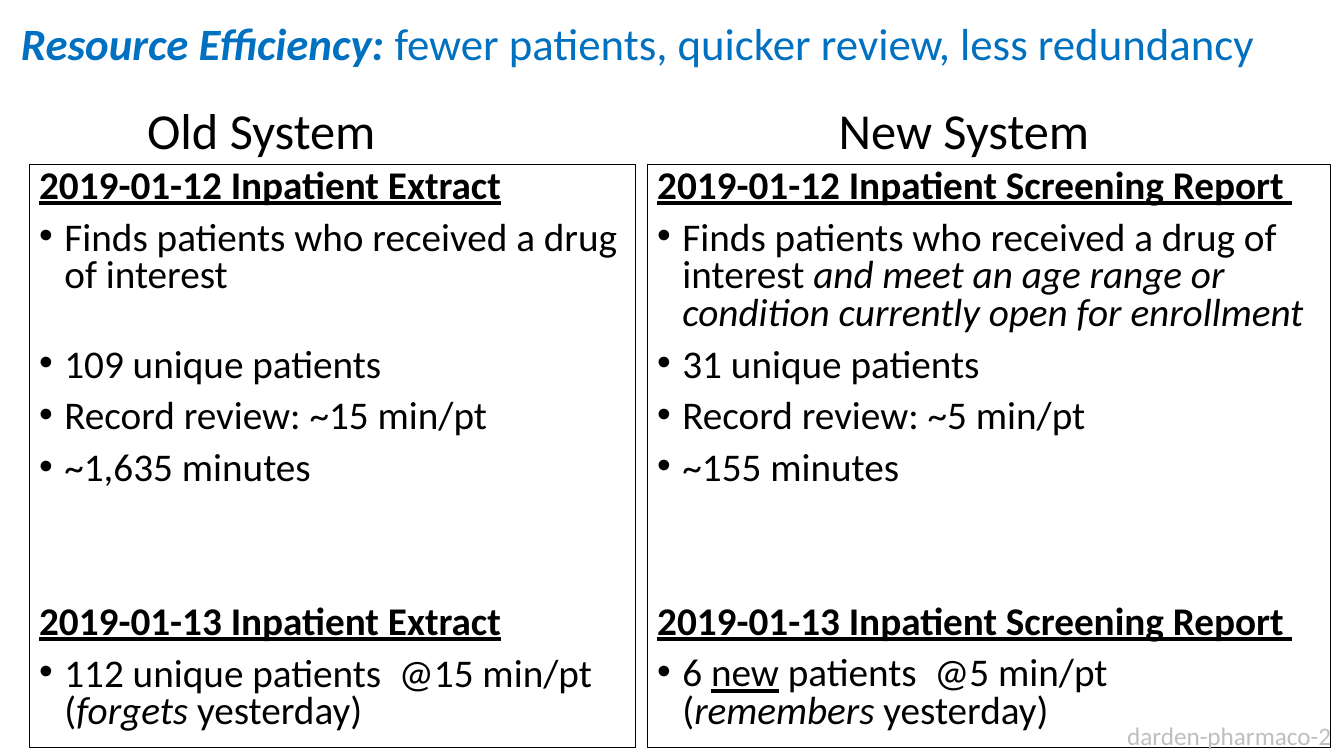
"""Builds a slide comparing an old and a new patient screening system."""
import pptx
import pptx.util
import pptx.dml.color
import pptx.enum.shapes
import pptx.enum.text
import pptx.oxml
import pptx.oxml.ns

Inches, Pt = pptx.util.Inches, pptx.util.Pt
RGBColor = pptx.dml.color.RGBColor
MSO_ANCHOR = pptx.enum.text.MSO_ANCHOR
BLUE = RGBColor(0x00, 0x70, 0xC0)
BLACK = RGBColor(0x00, 0x00, 0x00)
GRAY = RGBColor(0xBF, 0xBF, 0xBF)
LINE_BREAK = ("\n", "")


def add_runs(p, runs, size, color):
    """Add (text, style) runs; style letters are b, i and u."""
    for text, style in runs:
        if text == "\n":
            p.add_line_break()
            continue
        r = p.add_run()
        r.text = text
        r.font.name = "Calibri"
        r.font.size = Pt(size)
        r.font.color.rgb = color
        r.font.bold = "b" in style
        r.font.italic = "i" in style
        r.font.underline = "u" in style


def add_bullet(p):
    """Give a paragraph a hanging round bullet."""
    pPr = p._p.get_or_add_pPr()
    pPr.set("marL", str(Inches(0.25)))
    pPr.set("indent", str(-Inches(0.25)))
    ns = pptx.oxml.ns.nsdecls("a")
    pPr.append(pptx.oxml.parse_xml(f'<a:buFont {ns} typeface="Arial"/>'))
    pPr.append(pptx.oxml.parse_xml(f'<a:buChar {ns} char="•"/>'))


prs = pptx.Presentation()
prs.slide_width, prs.slide_height = Inches(13.33), Inches(7.5)
s = prs.slides.add_slide(prs.slide_layouts[6])

title = s.shapes.add_textbox(Inches(0.11), Inches(0.1), Inches(12.83), Inches(0.72))
tf = title.text_frame
tf.word_wrap = True
tf.vertical_anchor = MSO_ANCHOR.MIDDLE
tf.paragraphs[0].line_spacing = 0.9
add_runs(tf.paragraphs[0], [
    ("Resource Efficiency: ", "bi"),
    ("fewer patients, quicker review, less redundancy", ""),
], 32, BLUE)

# Each paragraph: space before in points, bulleted, runs
old_system = [
    (0, False, [("2019-01-12 Inpatient Extract", "bu")]),
    (10, True, [("Finds patients who received a drug of interest", "")]),
    (37, True, [("109 unique patients", "")]),
    (10, True, [("Record review: ~15 min/pt", "")]),
    (10, True, [("~1,635 minutes", "")]),
    (83, False, [("2019-01-13 Inpatient Extract", "bu")]),
    (10, True, [("112 unique patients  @15 min/pt", ""), LINE_BREAK,
                ("(", ""), ("forgets", "i"), (" yesterday)", "")]),
]
new_system = [
    (0, False, [("2019-01-12 Inpatient Screening Report ", "bu")]),
    (10, True, [("Finds patients who received a drug of interest ", ""),
                ("and meet an age range or condition currently open for enrollment", "i")]),
    (10, True, [("31 unique patients", "")]),
    (10, True, [("Record review: ~5 min/pt", "")]),
    (10, True, [("~155 minutes", "")]),
    (83, False, [("2019-01-13 Inpatient Screening Report ", "bu")]),
    (10, True, [("6 ", ""), ("new", "u"), (" patients  @5 min/pt", ""), LINE_BREAK,
                ("(", ""), ("remembers", "i"), (" yesterday)", "")]),
]

for left, width, paragraphs in [(0.29, 6.01, old_system), (6.42, 6.78, new_system)]:
    sp = s.shapes.add_shape(pptx.enum.shapes.MSO_SHAPE.RECTANGLE,
                            Inches(left), Inches(1.63), Inches(width), Inches(5.79))
    sp.shadow.inherit = False
    sp.fill.background()
    sp.line.color.rgb = BLACK
    sp.line.width = Pt(0.75)
    tf = sp.text_frame
    tf.word_wrap = True
    tf.vertical_anchor = MSO_ANCHOR.TOP
    for i, (space, bulleted, runs) in enumerate(paragraphs):
        p = tf.add_paragraph() if i else tf.paragraphs[0]
        p.alignment = pptx.enum.text.PP_ALIGN.LEFT
        p.line_spacing = 0.8
        p.space_before = Pt(space)
        if bulleted:
            add_bullet(p)
        add_runs(p, runs, 28, BLACK)

for text, left, top, width, height, size, color in [
    ("Old System", 1.36, 0.93, 2.49, 0.71, 36, BLACK),
    ("New System", 8.22, 0.93, 2.71, 0.71, 36, BLACK),
    ("darden-pharmaco-2", 11.08, 7.1, 2.25, 0.4, 18, GRAY),
]:
    label = s.shapes.add_textbox(Inches(left), Inches(top), Inches(width), Inches(height))
    label.text_frame.word_wrap = False
    label.text_frame.auto_size = pptx.enum.text.MSO_AUTO_SIZE.SHAPE_TO_FIT_TEXT
    add_runs(label.text_frame.paragraphs[0], [(text, "")], size, color)

prs.save("out.pptx")
